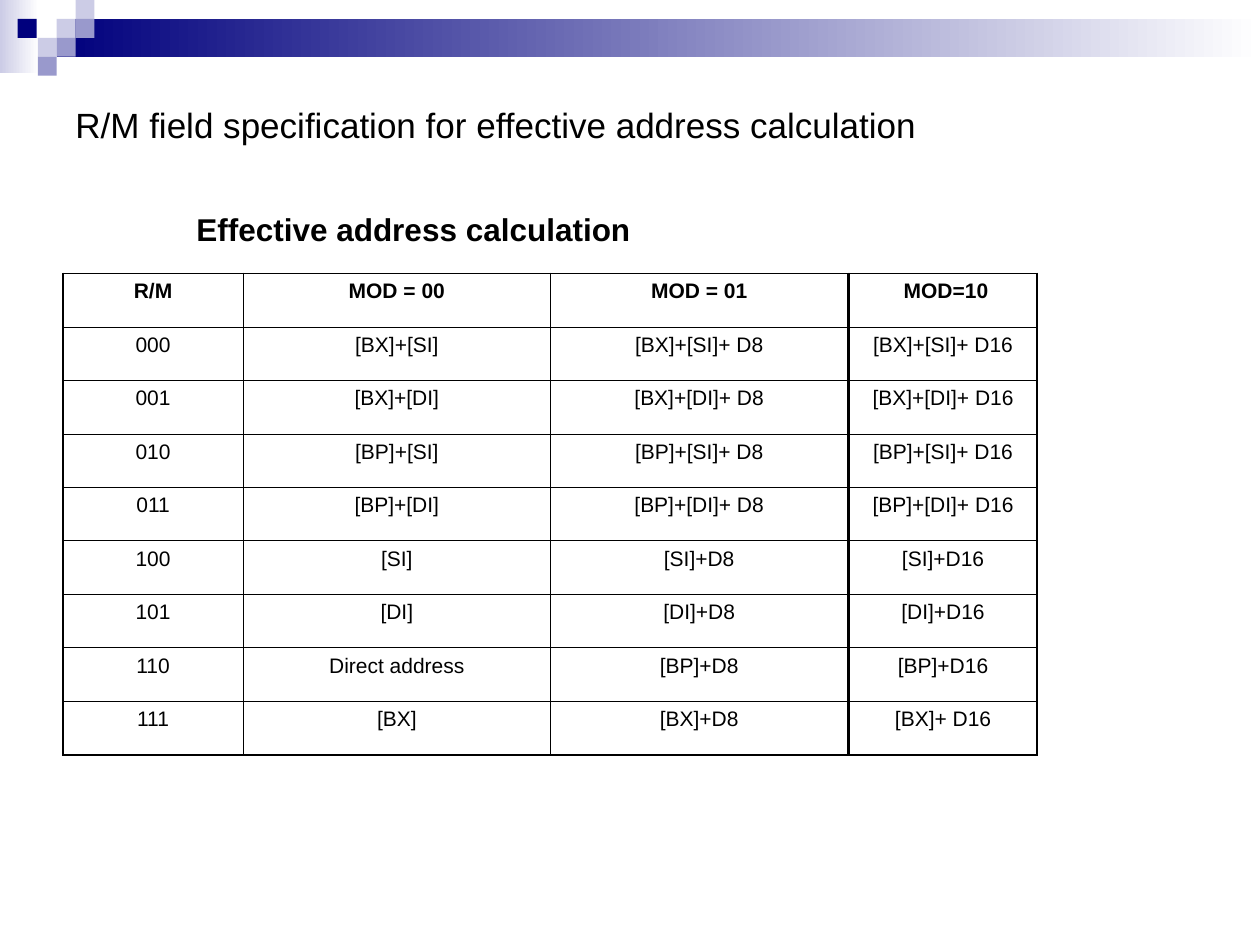
from dataclasses import dataclass

from lxml import etree
from pptx import Presentation
from pptx.dml.color import RGBColor
from pptx.enum import shapes, text
from pptx.oxml import ns
from pptx.util import Inches, Pt


@dataclass(frozen=True)
class Theme:
    font: str = "Arial"
    ink: str = "000000"
    white: str = "FFFFFF"
    navy: str = "00007D"
    violet: str = "9999CC"
    lavender: str = "CCCCE6"
    title_size: float = 20
    caption_size: float = 18
    cell_size: float = 12
    outer_line: float = 1.08
    inner_line: float = 0.45


@dataclass(frozen=True)
class Block:
    """A header rectangle; with a fade colour it blends from left to right."""
    left: float
    top: float
    width: float
    height: float
    color: str
    fade: str = ""


@dataclass(frozen=True)
class Label:
    words: str
    left: float
    top: float
    width: float
    height: float
    size: float
    bold: bool = False
    space_before: float = 0
    anchor: text.MSO_ANCHOR = text.MSO_ANCHOR.TOP


@dataclass(frozen=True)
class Grid:
    left: float
    widths: tuple[float, ...]
    rows: list[tuple[str, ...]]


THEME = Theme()
TILE = 0.15
TABLE_TOP = 2.17
TABLE_HEIGHT = 3.82

BLOCKS = [
    Block(0, 0, 0.31, 0.58, THEME.lavender, THEME.white),
    Block(0.45, 0.15, 9.55, 0.3, THEME.navy, THEME.white),
] + [
    Block(left, top, TILE, TILE, color)
    for left, top, color in [
        (0.45, 0.15, THEME.lavender),
        (0.6, 0, THEME.lavender),
        (0.6, 0.15, THEME.violet),
        (0.3, 0.3, THEME.lavender),
        (0.14, 0.15, THEME.navy),
        (0.45, 0.3, THEME.violet),
        (0.3, 0.45, THEME.violet),
    ]
]

TITLE = Label("R/M field specification for effective address calculation",
              0.5, 0.5, 9, 0.97, THEME.title_size, anchor=text.MSO_ANCHOR.MIDDLE)
CAPTION = Label("Effective address calculation", 1.46, 1.62, 3.75, 0.4,
                THEME.caption_size, bold=True, space_before=4.5)

ADDRESSES = [
    ("R/M", "MOD = 00", "MOD = 01", " MOD=10"),
    ("000", "[BX]+[SI]", "[BX]+[SI]+ D8", "[BX]+[SI]+ D16"),
    ("001", "[BX]+[DI]", "[BX]+[DI]+ D8", "[BX]+[DI]+ D16"),
    ("010", "[BP]+[SI]", "[BP]+[SI]+ D8", "[BP]+[SI]+ D16"),
    ("011", "[BP]+[DI]", "[BP]+[DI]+ D8", "[BP]+[DI]+ D16"),
    ("100", "[SI]", "[SI]+D8", "[SI]+D16"),
    ("101", "[DI]", "[DI]+D8", "[DI]+D16"),
    ("110", "Direct address", "[BP]+D8", "[BP]+D16"),
    ("111", "[BX]", "[BX]+D8", "[BX]+ D16"),
]

GRIDS = [
    Grid(0.5, (1.43, 2.44, 2.36), [row[:3] for row in ADDRESSES]),
    Grid(6.74, (1.49,), [row[3:] for row in ADDRESSES]),
]


def draw_block(page, block: Block) -> None:
    shape = page.shapes.add_shape(
        shapes.MSO_SHAPE.RECTANGLE, Inches(block.left), Inches(block.top),
        Inches(block.width), Inches(block.height))
    shape.shadow.inherit = False
    shape.line.fill.background()
    if block.fade:
        shape.fill.gradient()
        shape.fill.gradient_angle = 180
        for stop, color in zip(shape.fill.gradient_stops, (block.fade, block.color)):
            stop.color.rgb = RGBColor.from_string(color)
    else:
        shape.fill.solid()
        shape.fill.fore_color.rgb = RGBColor.from_string(block.color)


def style_text(frame, size: float, bold: bool) -> None:
    for para in frame.paragraphs:
        for span in para.runs:
            span.font.name = THEME.font
            span.font.size = Pt(size)
            span.font.bold = bold
            span.font.color.rgb = RGBColor.from_string(THEME.ink)


def draw_label(page, label: Label) -> None:
    box = page.shapes.add_textbox(Inches(label.left), Inches(label.top),
                                  Inches(label.width), Inches(label.height))
    frame = box.text_frame
    frame.text = label.words
    frame.word_wrap = True
    frame.vertical_anchor = label.anchor
    frame.paragraphs[0].space_before = Pt(label.space_before)
    style_text(frame, label.size, label.bold)


def set_borders(cell, outer_sides: dict[str, bool]) -> None:
    """Rule all four sides, heavier where the side is on the table's edge."""
    properties = cell._tc.get_or_add_tcPr()
    for index, (side, is_outer) in enumerate(outer_sides.items()):
        weight = THEME.outer_line if is_outer else THEME.inner_line
        line = etree.Element(ns.qn(f"a:ln{side}"), w=str(int(Pt(weight))))
        fill = etree.SubElement(line, ns.qn("a:solidFill"))
        etree.SubElement(fill, ns.qn("a:srgbClr"), val=THEME.ink)
        properties.insert(index, line)


def draw_grid(page, grid: Grid) -> None:
    last_row, last_column = len(grid.rows) - 1, len(grid.widths) - 1
    table = page.shapes.add_table(
        len(grid.rows), len(grid.widths), Inches(grid.left), Inches(TABLE_TOP),
        Inches(sum(grid.widths)), Inches(TABLE_HEIGHT)).table
    table.first_row = table.horz_banding = False
    for column, width in zip(table.columns, grid.widths):
        column.width = Inches(width)
    for r, row in enumerate(grid.rows):
        for c, words in enumerate(row):
            cell = table.cell(r, c)
            cell.fill.background()
            cell.text_frame.text = words
            para = cell.text_frame.paragraphs[0]
            para.alignment = text.PP_ALIGN.CENTER
            para.space_before = Pt(3)
            style_text(cell.text_frame, THEME.cell_size, bold=r == 0)
            set_borders(cell, {"L": c == 0, "R": c == last_column,
                               "T": r == 0, "B": r == last_row})


def main() -> None:
    deck = Presentation()
    deck.slide_width, deck.slide_height = Inches(10), Inches(7.5)
    page = deck.slides.add_slide(deck.slide_layouts[6])
    for block in BLOCKS:
        draw_block(page, block)
    draw_label(page, TITLE)
    for grid in GRIDS:
        draw_grid(page, grid)
    draw_label(page, CAPTION)
    deck.save("out.pptx")


if __name__ == "__main__":
    main()
